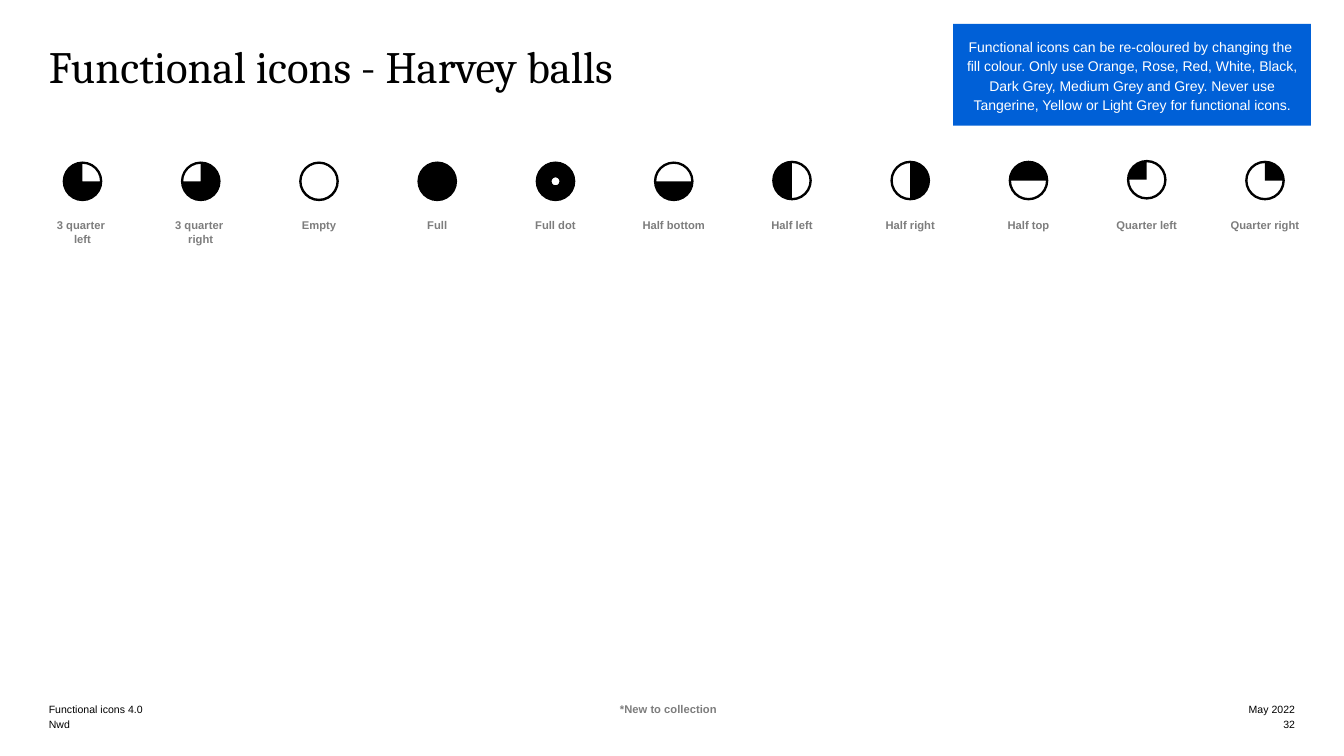
import math

import lxml.etree
import pptx
import pptx.dml.color
import pptx.enum.shapes
import pptx.enum.text
import pptx.oxml.ns
import pptx.util

Cm = pptx.util.Cm
Pt = pptx.util.Pt
RGBColor = pptx.dml.color.RGBColor
Align = pptx.enum.text.PP_ALIGN
Anchor = pptx.enum.text.MSO_ANCHOR
qn = pptx.oxml.ns.qn

BLACK = RGBColor(0x00, 0x00, 0x00)
WHITE = RGBColor(0xFF, 0xFF, 0xFF)
GREY = RGBColor(0x7D, 0x7D, 0x7D)
BLUE = RGBColor(0x00, 0x60, 0xD7)

# Lengths in centimetres
FIRST_CENTRE, BALL_STEP = 2.08, 2.98
RADIUS, INNER_RADIUS, DOT_RADIUS = 0.5, 0.44, 0.1
LABEL_TOP, LABEL_WIDTH, LABEL_HEIGHT = 5.51, 2.29, 0.76

# Label, centre height, and the hole: radius, start and end angle
# in degrees clockwise from the right (None for a solid ball)
BALLS = [
    ("3 quarter \nleft", 4.57, (INNER_RADIUS, 270, 360)),
    ("3 quarter \nright", 4.57, (INNER_RADIUS, 180, 270)),
    ("Empty", 4.57, (INNER_RADIUS, 0, 360)),
    ("Full", 4.57, None),
    ("Full dot", 4.57, (DOT_RADIUS, 0, 360)),
    ("Half bottom", 4.57, (INNER_RADIUS, 180, 360)),
    ("Half left", 4.55, (INNER_RADIUS, 270, 450)),
    ("Half right", 4.55, (INNER_RADIUS, 90, 270)),
    ("Half top", 4.55, (INNER_RADIUS, 0, 180)),
    ("Quarter left", 4.53, (INNER_RADIUS, 270, 540)),
    ("Quarter right", 4.55, (INNER_RADIUS, 0, 270)),
]


def write_text(shape, text, size, colour, align=Align.LEFT, anchor=Anchor.TOP,
               bold=False, font="Arial", spacing=1.0, margins=(0, 0)):
    frame = shape.text_frame
    frame.word_wrap = True
    frame.auto_size = pptx.enum.text.MSO_AUTO_SIZE.NONE
    frame.vertical_anchor = anchor
    frame.margin_left = frame.margin_right = Cm(margins[0])
    frame.margin_top = frame.margin_bottom = Cm(margins[1])
    paragraph = frame.paragraphs[0]
    paragraph.text = text
    paragraph.alignment = align
    paragraph.line_spacing = spacing
    paragraph.font.name = font
    paragraph.font.size = Pt(size)
    paragraph.font.bold = bold
    paragraph.font.color.rgb = colour


def add_text(slide, left, top, width, height, text, size, colour, **style):
    box = slide.shapes.add_textbox(Cm(left), Cm(top), Cm(width), Cm(height))
    write_text(box, text, size, colour, **style)


def paint(shape, colour):
    shape.shadow.inherit = False
    shape.fill.solid()
    shape.fill.fore_color.rgb = colour
    shape.line.fill.background()


def add_point(parent, tag, x, y):
    command = lxml.etree.SubElement(parent, qn(tag))
    lxml.etree.SubElement(command, qn("a:pt"), x=str(Cm(x)), y=str(Cm(y)))


def add_contour(outline, radius, start, end):
    """Draw a circle or a sector around the middle of the ball."""
    angle = math.radians(start)
    add_point(outline, "a:moveTo", RADIUS + radius * math.cos(angle),
              RADIUS + radius * math.sin(angle))
    # Two equal arcs, since one arc cannot close a full circle
    half = (end - start) // 2
    for arc_start in (start, start + half):
        lxml.etree.SubElement(
            outline, qn("a:arcTo"), wR=str(Cm(radius)), hR=str(Cm(radius)),
            stAng=str(arc_start % 360 * 60000), swAng=str(half * 60000))
    if abs(end - start) < 360:
        add_point(outline, "a:lnTo", RADIUS, RADIUS)
    lxml.etree.SubElement(outline, qn("a:close"))


def add_ball(slide, x, y, hole):
    left, top, size = Cm(x - RADIUS), Cm(y - RADIUS), Cm(2 * RADIUS)
    if hole is None:
        ball = slide.shapes.add_shape(
            pptx.enum.shapes.MSO_SHAPE.OVAL, left, top, size, size)
    else:
        builder = slide.shapes.build_freeform(left, top)
        builder.add_line_segments([(left + size, top),
                                   (left + size, top + size)])
        ball = builder.convert_to_shape()
        # Round contours take the place of the straight lines
        outline = next(ball.element.iter(qn("a:path")))
        for command in list(outline):
            outline.remove(command)
        add_contour(outline, RADIUS, 0, 360)
        # The hole runs the other way round
        radius, start, end = hole
        add_contour(outline, radius, end, start)
    paint(ball, BLACK)


def add_title(slide, text):
    title = slide.shapes.title
    title.left, title.top = Cm(1.23), Cm(1.19)
    title.width, title.height = Cm(31.39), Cm(1.63)
    write_text(title, text, 32, BLACK, font="Cambria", spacing=0.85)


def add_callout(slide, text):
    callout = slide.shapes.add_shape(
        pptx.enum.shapes.MSO_SHAPE.RECTANGLE,
        Cm(24.02), Cm(0.6), Cm(9.02), Cm(2.57))
    paint(callout, BLUE)
    write_text(callout, text, 10, WHITE, align=Align.CENTER,
               anchor=Anchor.MIDDLE, spacing=1.15, margins=(0.25, 0.18))


def add_footer(slide):
    rows = [(17.65, "Functional icons 4.0", "May 2022"),
            (18.03, "Nwd", "32")]
    for top, left_text, right_text in rows:
        add_text(slide, 1.23, top, 15.2, 0.38, left_text, 7.5, BLACK,
                 anchor=Anchor.BOTTOM)
        add_text(slide, 27.74, top, 4.9, 0.38, right_text, 7.5, BLACK,
                 align=Align.RIGHT, anchor=Anchor.BOTTOM)
    add_text(slide, 14.88, 17.7, 4.01, 0.33, "*New to collection ", 8, GREY,
             align=Align.CENTER, bold=True)


def main():
    presentation = pptx.Presentation()
    presentation.slide_width, presentation.slide_height = Cm(33.87), Cm(19.05)
    slide = presentation.slides.add_slide(presentation.slide_layouts[5])

    # Heading
    add_title(slide, "Functional icons - Harvey balls")
    add_callout(slide, "Functional icons can be re-coloured by changing the \n"
                "fill colour. Only use Orange, Rose, Red, White, Black, "
                "Dark Grey, Medium Grey and Grey. Never use Tangerine, "
                "Yellow or Light Grey for functional icons.")

    # Row of balls with labels
    for index, (label, y, hole) in enumerate(BALLS):
        x = FIRST_CENTRE + index * BALL_STEP
        add_ball(slide, x, y, hole)
        add_text(slide, x - LABEL_WIDTH / 2, LABEL_TOP, LABEL_WIDTH,
                 LABEL_HEIGHT, label, 8, GREY, align=Align.CENTER, bold=True)

    add_footer(slide)
    presentation.save("out.pptx")


if __name__ == "__main__":
    main()
